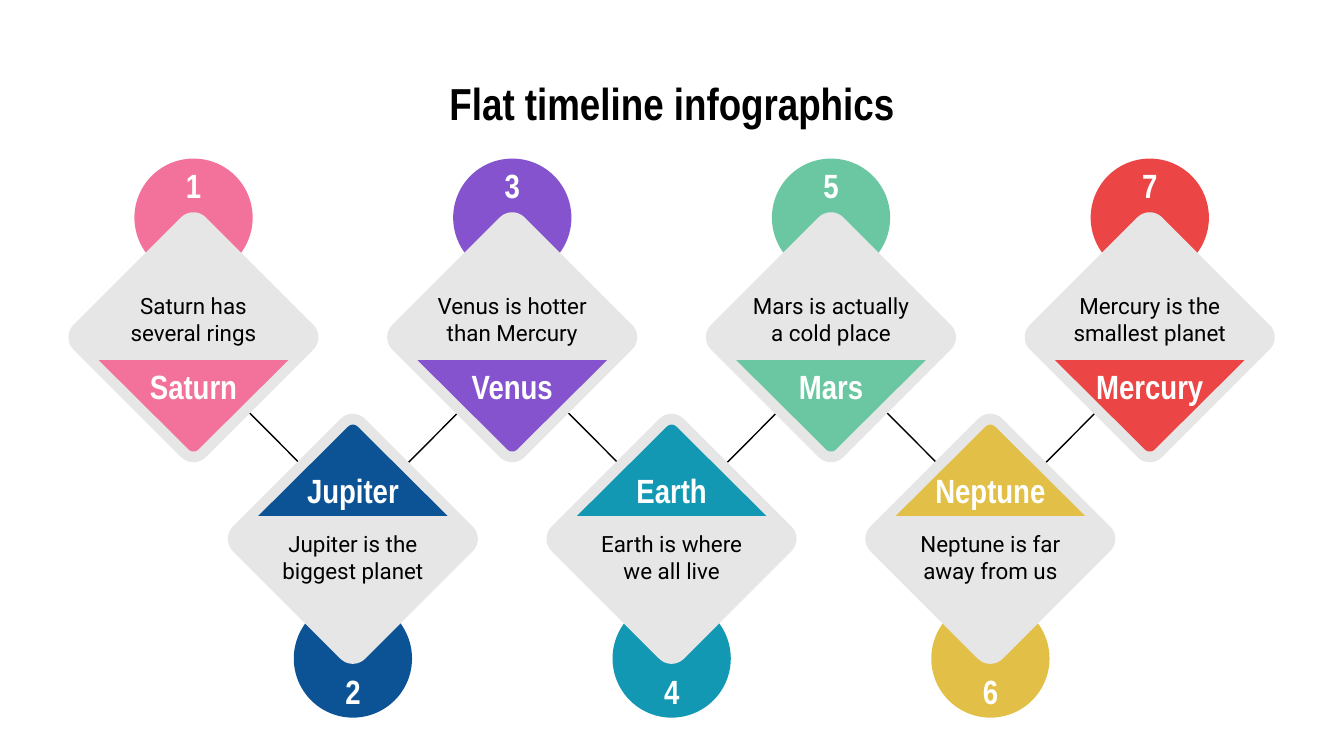
from collections import namedtuple
from dataclasses import dataclass
from math import cos, pi, sin

from pptx import Presentation
from pptx.dml.color import RGBColor
from pptx.enum.shapes import MSO_CONNECTOR, MSO_SHAPE
from pptx.enum.text import MSO_ANCHOR, MSO_AUTO_SIZE, PP_ALIGN
from pptx.oxml.ns import qn
from pptx.util import Emu, Inches, Pt

STRAIGHT, OVAL = MSO_CONNECTOR.STRAIGHT, MSO_SHAPE.OVAL
TOP, MIDDLE = MSO_ANCHOR.TOP, MSO_ANCHOR.MIDDLE
CENTER, NO_FIT = PP_ALIGN.CENTER, MSO_AUTO_SIZE.NONE

Box = namedtuple("Box", "left top width height")
Style = namedtuple("Style", "font size color bold")
Planet = namedtuple("Planet", "name note color")


@dataclass(frozen=True)
class Theme:
    """Colours and type styles of the slide."""
    card: str = "E6E6E6"
    line: str = "000000"
    line_width: float = 0.75
    title: Style = Style("Arial Narrow", 24, "000000", True)
    label: Style = Style("Arial Narrow", 18, "FFFFFF", True)
    note: Style = Style("Roboto", 12, "000000", False)


THEME = Theme()
PLANETS = [
    Planet("Saturn", "Saturn has several rings", "F3729B"),
    Planet("Jupiter", "Jupiter is the biggest planet", "0B5394"),
    Planet("Venus", "Venus is hotter than Mercury", "8553CE"),
    Planet("Earth", "Earth is where we all live", "1398B4"),
    Planet("Mars", "Mars is actually a cold place", "6AC7A1"),
    Planet("Neptune", "Neptune is far away from us", "E2C047"),
    Planet("Mercury", "Mercury is the smallest planet", "EC4545"),
]
SLIDE_COLUMNS = 1000
TIMELINE_ROWS = 416
CARD_ROWS = 113
CARD_COLUMNS = 93


def write(shape, text, style, anchor):
    """Put one centred run of text into a shape."""
    frame = shape.text_frame
    frame.word_wrap = True
    frame.auto_size = NO_FIT
    frame.vertical_anchor = anchor
    frame.margin_left = frame.margin_right = Inches(0.1)
    frame.margin_top = frame.margin_bottom = Inches(0.1)
    para = frame.paragraphs[0]
    para.alignment = CENTER
    span = para.add_run()
    span.text = text
    span.font.name = style.font
    span.font.size = Pt(style.size)
    span.font.bold = style.bold
    span.font.color.rgb = RGBColor.from_string(style.color)


def paint(shape, color):
    """Give a shape a flat fill without outline or shadow."""
    shape.shadow.inherit = False
    shape.fill.solid()
    shape.fill.fore_color.rgb = RGBColor.from_string(color)
    shape.line.fill.background()


def corner(x, y, radius, middle, steps=12):
    """Return points of a quarter arc around the angle of its middle."""
    angles = [middle + pi / 2 * (step / steps - 0.5) for step in range(steps + 1)]
    return [(x + radius * cos(angle), y + radius * sin(angle)) for angle in angles]


def add_title(page, box, text):
    """Place and format the title placeholder."""
    title = page.shapes.title
    title.left, title.top, title.width, title.height = (Emu(int(part)) for part in box)
    write(title, text, THEME.title, MIDDLE)


def add_card(page, box, number, planet, flipped):
    """Draw a planet card on its grid, upside down when flipped."""
    shapes = page.shapes.add_group_shape().shapes
    cell = box.height / CARD_ROWS
    center = box.left + box.width / 2

    def area(row, columns, rows):
        first = CARD_ROWS - row - rows if flipped else row
        return [int(length) for length in (
            center - columns * cell / 2, box.top + first * cell,
            columns * cell, rows * cell)]

    def outline(points, color):
        spots = [(int(center + x * cell),
                  int(box.top + (CARD_ROWS - y if flipped else y) * cell))
                 for x, y in points]
        builder = shapes.build_freeform(*spots[0], scale=1.0)
        builder.add_line_segments(spots[1:], close=True)
        paint(builder.convert_to_shape(), color)

    def label(place, text, style, anchor):
        write(shapes.add_textbox(*place), text, style, anchor)

    paint(shapes.add_shape(OVAL, *area(0, 44, 44)), planet.color)
    reach, radius, middle = 40, 6.5, 66.5
    diamond = []
    for quarter in range(4):
        angle = quarter * pi / 2
        diamond += corner(reach * cos(angle), middle + reach * sin(angle), radius, angle)
    outline(diamond, THEME.card)
    outline([(35.25, 75)] + corner(0, 106.5, 2.5, pi / 2) + [(-35.25, 75)], planet.color)
    label(area(75, 70.5, 19), planet.name, THEME.label, MIDDLE)
    label(area(44.75, 70.5, 30), planet.note, THEME.note, TOP)
    label(area(0, 44, 20), str(number), THEME.label, MIDDLE)


def add_link(page, box, rising):
    """Draw the diagonal line between two neighbouring cards."""
    top, bottom = int(box.top), int(box.top + box.height)
    start, end = (bottom, top) if rising else (top, bottom)
    link = page.shapes.add_connector(
        STRAIGHT, int(box.left), start, int(box.left + box.width), end)
    link.line.color.rgb = RGBColor.from_string(THEME.line)
    link.line.width = Pt(THEME.line_width)
    properties = link._element.spPr
    properties.append(properties.makeelement(qn("a:effectLst"), {}))


def add_timeline(page, box):
    """Lay the cards out in two staggered rows and link them."""
    row = box.height / TIMELINE_ROWS
    height = 2 * CARD_ROWS * row
    width = 2 * CARD_COLUMNS * row
    step = (box.width - width) / (len(PLANETS) - 1)
    for index in range(len(PLANETS) - 1):
        left = box.left + width / 2 + (index + 0.35) * step
        place = Box(left, box.top + 189 * row, step * 0.31, 37 * row)
        add_link(page, place, index % 2 == 1)
    for index, planet in enumerate(PLANETS):
        flipped = index % 2 == 1
        top = box.top + (box.height - height if flipped else 0)
        place = Box(box.left + index * step, top, width, height)
        add_card(page, place, index + 1, planet, flipped)


def main():
    """Build and save the slide."""
    deck = Presentation()
    deck.slide_width = Inches(10)
    deck.slide_height = deck.slide_width * 9 // 16
    column = deck.slide_width / SLIDE_COLUMNS
    page = deck.slides.add_slide(deck.slide_layouts[5])
    add_title(page, Box(50 * column, 45 * column, 900 * column, 63 * column),
              "Flat timeline infographics")
    add_timeline(page, Box(51 * column, 118 * column, 897.5 * column,
                           TIMELINE_ROWS * column))
    deck.save("out.pptx")


if __name__ == "__main__":
    main()
